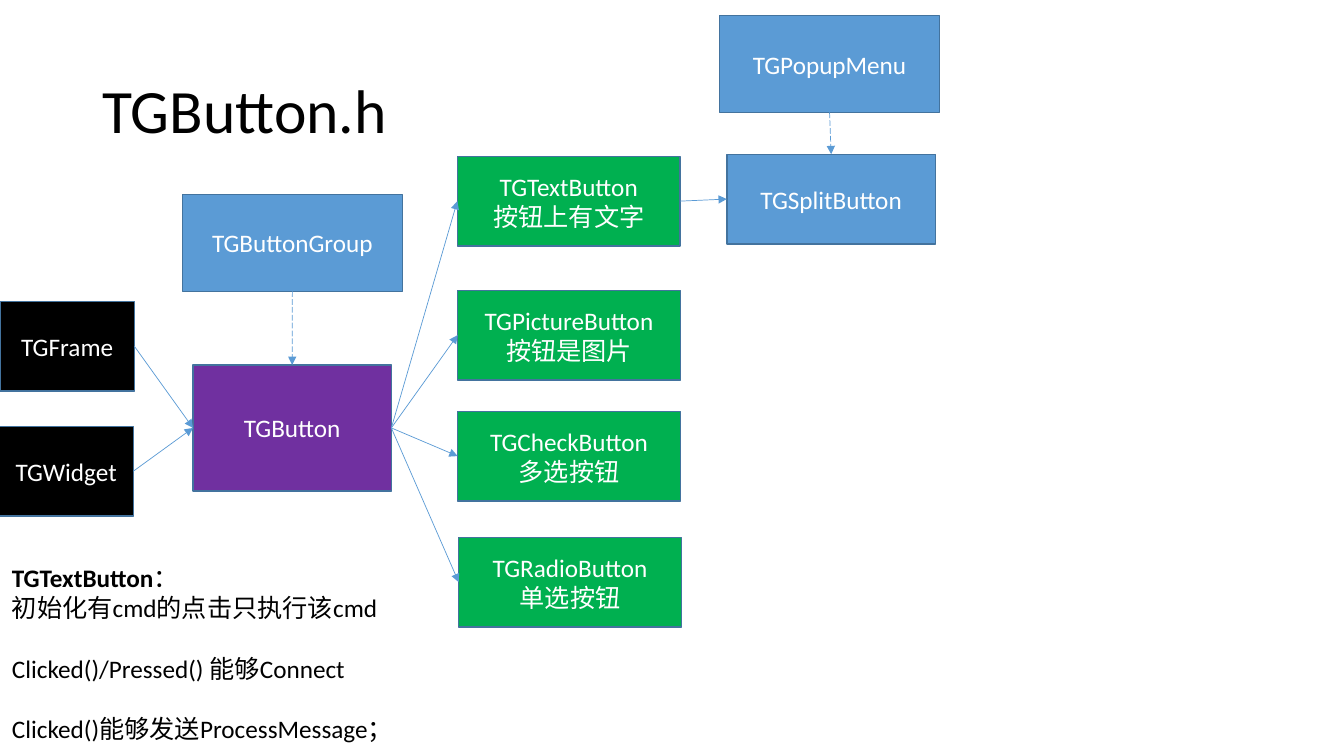
import pptx
import pptx.dml.color
import pptx.enum.dml
import pptx.enum.shapes
import pptx.enum.text
import pptx.util
from lxml import etree

RECTANGLE = pptx.enum.shapes.MSO_SHAPE.RECTANGLE
STRAIGHT = pptx.enum.shapes.MSO_CONNECTOR.STRAIGHT
MIDDLE = pptx.enum.text.MSO_ANCHOR.MIDDLE
CENTER = pptx.enum.text.PP_ALIGN.CENTER
LONG_DASH = pptx.enum.dml.MSO_LINE.LONG_DASH
hex_color = pptx.dml.color.RGBColor.from_string

TOP, LEFT, BOTTOM, RIGHT = range(4)
BLACK, WHITE, BLUE, GREEN, PURPLE, BORDER = (
    "000000", "FFFFFF", "5B9BD5", "00B050", "7030A0", "43739E")

deck = pptx.Presentation()
deck.slide_width = pptx.util.Inches(13.333)
deck.slide_height = pptx.util.Inches(7.5)
page = deck.slides.add_slide(deck.slide_layouts[6])


def area(left, top, width, height):
    """Turn percentages of the slide's width and height into lengths."""
    return [int(share * side / 100) for share, side in zip(
        (left, top, width, height), (deck.slide_width, deck.slide_height) * 2)]


def write(para, text, size=18, color=BLACK, bold=False, align=None):
    para.alignment = align
    span = para.add_run()
    span.text = text
    span.font.name = "Calibri"
    span.font.size = pptx.util.Pt(size)
    span.font.bold = bold
    span.font.color.rgb = hex_color(color)


title = page.shapes.add_textbox(*area(6.9, 5.33, 86.25, 19.33)).text_frame
title.word_wrap = True
title.vertical_anchor = MIDDLE
title.paragraphs[0].line_spacing = 0.9
write(title.paragraphs[0], "TGButton.h", size=44)

# Class boxes: name, note below the name, fill, place in percent of the slide
classes = [
    ("TGFrame", None, BLACK, (0, 39.87, 10, 11.87)),
    ("TGWidget", None, BLACK, (-0.08, 56.4, 10, 11.87)),
    ("TGButton", None, PURPLE, (14.36, 48.27, 14.76, 16.67)),
    ("TGTextButton", "按钮上有文字", GREEN, (34.03, 20.67, 16.58, 11.87)),
    ("TGPictureButton", "按钮是图片", GREEN, (34.05, 38.4, 16.58, 11.87)),
    ("TGCheckButton", "多选按钮", GREEN, (34.05, 54.4, 16.58, 11.87)),
    ("TGRadioButton", "单选按钮", GREEN, (34.13, 71.07, 16.58, 11.87)),
    ("TGSplitButton", None, BLUE, (54.08, 20.4, 15.53, 11.87)),
    ("TGPopupMenu", None, BLUE, (53.55, 2.07, 16.35, 12.8)),
    ("TGButtonGroup", None, BLUE, (13.58, 25.73, 16.35, 12.8)),
]
boxes = {}
for name, note, fill, place in classes:
    box = page.shapes.add_shape(RECTANGLE, *area(*place))
    box.shadow.inherit = False
    box.fill.solid()
    box.fill.fore_color.rgb = hex_color(fill)
    box.line.color.rgb = hex_color(BORDER)
    box.line.width = pptx.util.Pt(1)
    frame = box.text_frame
    frame.vertical_anchor = MIDDLE
    write(frame.paragraphs[0], name, color=WHITE, align=CENTER)
    if note:
        write(frame.add_paragraph(), note, color=WHITE, align=CENTER)
    boxes[name] = box

# Solid arrows run sideways (inheritance), dashed ones run down (use)
arrows = [
    ("TGFrame", "TGButton", False),
    ("TGWidget", "TGButton", False),
    ("TGButton", "TGTextButton", False),
    ("TGButton", "TGPictureButton", False),
    ("TGButton", "TGCheckButton", False),
    ("TGButton", "TGRadioButton", False),
    ("TGTextButton", "TGSplitButton", False),
    ("TGPopupMenu", "TGSplitButton", True),
    ("TGButtonGroup", "TGButton", True),
]
for source, target, dashed in arrows:
    arrow = page.shapes.add_connector(STRAIGHT, 0, 0, 0, 0)
    arrow.begin_connect(boxes[source], BOTTOM if dashed else RIGHT)
    arrow.end_connect(boxes[target], TOP if dashed else LEFT)
    arrow.line.color.rgb = hex_color(BLUE)
    arrow.line.width = pptx.util.Pt(0.5)
    if dashed:
        arrow.line.dash_style = LONG_DASH
    outline = arrow.line._get_or_add_ln()
    namespace = etree.QName(outline).namespace
    etree.SubElement(outline, f"{{{namespace}}}tailEnd", type="triangle")
    etree.SubElement(outline.getparent(), f"{{{namespace}}}effectLst")

notes = page.shapes.add_textbox(*area(0.15, 73.73, 46.58, 26)).text_frame
notes.word_wrap = True
write(notes.paragraphs[0], "TGTextButton", bold=True)
write(notes.paragraphs[0], "：")
for text, gap in [
    ("初始化有cmd的点击只执行该cmd", 0),
    ("Clicked()/Pressed() 能够Connect", 21.6),
    ("Clicked()能够发送ProcessMessage；", 21.6),
]:
    para = notes.add_paragraph()
    para.space_before = pptx.util.Pt(gap)
    write(para, text)

deck.save("out.pptx")
